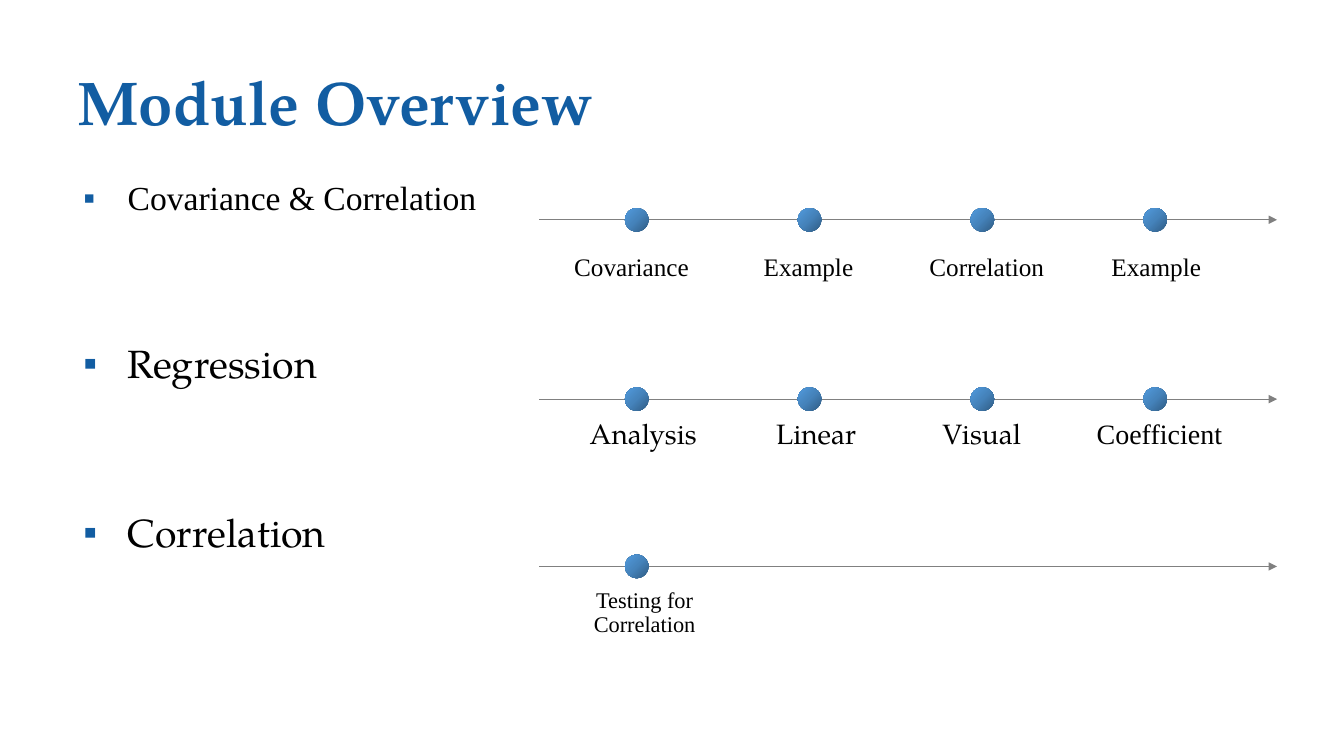
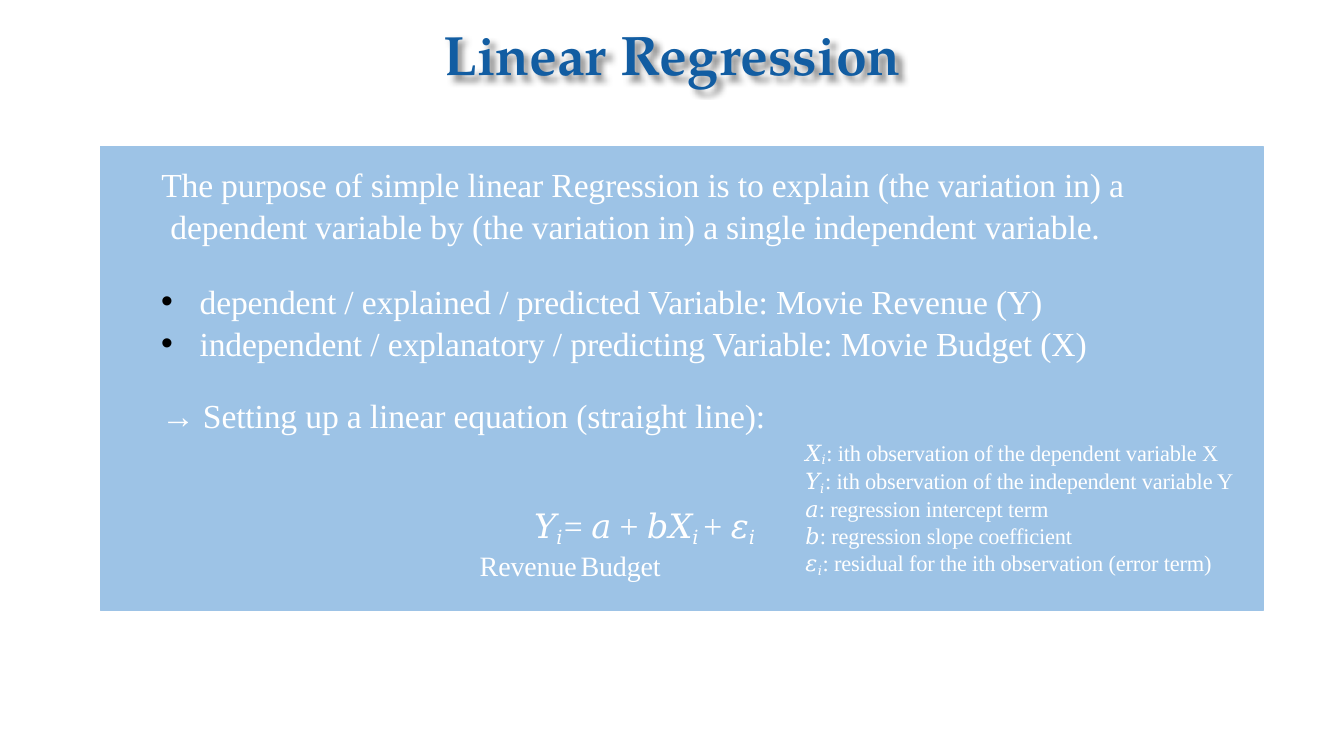
from dataclasses import dataclass
from typing import Optional, Sequence

from pptx import Presentation
from pptx.dml.color import RGBColor
from pptx.enum.shapes import MSO_CONNECTOR, MSO_SHAPE
from pptx.enum.text import MSO_ANCHOR, MSO_AUTO_SIZE, PP_ALIGN
from pptx.oxml import parse_xml
from pptx.oxml.ns import nsdecls
from pptx.util import Pt

COLORS = {
    "title": "125DA2", "ink": "000000", "white": "FFFFFF", "panel": "9DC3E6",
    "axis": "808080", "dot_dark": "305C84", "dot_mid": "4583BB", "dot_light": "529BDE",
}
SERIF = "Times New Roman"
PAGELLA = "TeX Gyre Pagella"
DOT_SIZE = 16.8
DOT_LEFT = 446.4
DOT_PITCH = 123.45
AXIS_LEFT, AXIS_RIGHT = 385.2, 912.2


@dataclass(frozen=True)
class Box:
    left: float
    top: float
    width: float
    height: float


@dataclass(frozen=True)
class Span:
    text: str
    spacing: float = 0
    baseline: int = 0


@dataclass(frozen=True)
class Style:
    size: float
    font: str = SERIF
    color: str = "ink"
    bold: bool = False
    align: PP_ALIGN = PP_ALIGN.LEFT
    line: float = 1.0
    before: float = 0
    margin: float = 0
    indent: float = 0
    bullet: str = ""
    bullet_color: str = "ink"
    tab: float = 0


@dataclass(frozen=True)
class Para:
    spans: Sequence[Span]
    style: Style


@dataclass(frozen=True)
class Stop:
    label: str
    left: float
    width: float
    style: Style


@dataclass(frozen=True)
class Timeline:
    axis_y: float
    label_top: float
    label_height: float
    stops: Sequence[Stop]


def rgb(name: str) -> RGBColor:
    return RGBColor.from_string(COLORS[name])


def xml(markup: str):
    tag, rest = markup.split(" ", 1)
    return parse_xml(f"{tag} {nsdecls('a')} {rest}")


def place(shape, box: Box) -> None:
    shape.left, shape.top = Pt(box.left), Pt(box.top)
    shape.width, shape.height = Pt(box.width), Pt(box.height)


def format_paragraph(paragraph, style: Style) -> None:
    paragraph.alignment = style.align
    paragraph.line_spacing = style.line
    paragraph.space_before = Pt(style.before)
    paragraph.space_after = Pt(0)
    props = paragraph._p.get_or_add_pPr()
    props.set("marL", str(Pt(style.margin)))
    props.set("indent", str(Pt(style.indent)))
    if style.bullet:
        props.append(xml(f'<a:buClr ><a:srgbClr val="{COLORS[style.bullet_color]}"/></a:buClr>'))
        props.append(xml('<a:buFont typeface="Arial"/>'))
        props.append(xml(f'<a:buChar char="{style.bullet}"/>'))
    else:
        props.append(xml("<a:buNone />"))
    if style.tab:
        props.append(xml(f'<a:tabLst ><a:tab pos="{Pt(style.tab)}" algn="l"/></a:tabLst>'))


def write(shape, paras: Sequence[Para], insets: tuple[float, float] = (0, 0),
          anchor: MSO_ANCHOR = MSO_ANCHOR.TOP,
          fit: MSO_AUTO_SIZE = MSO_AUTO_SIZE.NONE) -> None:
    frame = shape.text_frame
    frame.word_wrap = True
    frame.auto_size = fit
    frame.vertical_anchor = anchor
    frame.margin_left = frame.margin_right = Pt(insets[0])
    frame.margin_top = frame.margin_bottom = Pt(insets[1])
    for index, para in enumerate(paras):
        paragraph = frame.add_paragraph() if index else frame.paragraphs[0]
        format_paragraph(paragraph, para.style)
        for span in para.spans:
            run = paragraph.add_run()
            run.text = span.text
            run.font.size = Pt(para.style.size)
            run.font.name = para.style.font
            run.font.bold = para.style.bold
            run.font.color.rgb = rgb(para.style.color)
            props = run._r.get_or_add_rPr()
            if span.spacing:
                props.set("spc", str(round(span.spacing * 100)))
            if span.baseline:
                props.set("baseline", str(span.baseline * 1000))


def add_text(slide, box: Box, paras: Sequence[Para], **options) -> None:
    shape = slide.shapes.add_textbox(0, 0, 0, 0)
    place(shape, box)
    write(shape, paras, **options)


def set_title(slide, text: str, box: Box, size: float, align: PP_ALIGN):
    title = slide.shapes.title
    place(title, box)
    style = Style(size, PAGELLA, "title", True, align, 0.9)
    write(title, [Para([Span(text)], style)], (7.2, 3.6), MSO_ANCHOR.MIDDLE)
    return title


def add_shadow(shape) -> None:
    shape._element.spPr.append(xml(
        f'<a:effectLst ><a:outerShdw blurRad="{Pt(4)}" dist="{Pt(4)}" dir="2700000" algn="tl">'
        f'<a:srgbClr val="{COLORS["ink"]}"><a:alpha val="43000"/></a:srgbClr>'
        '</a:outerShdw></a:effectLst>'))


def add_axis(slide, y: float) -> None:
    axis = slide.shapes.add_connector(
        MSO_CONNECTOR.STRAIGHT, Pt(AXIS_LEFT), Pt(y), Pt(AXIS_RIGHT), Pt(y))
    axis.line.color.rgb = rgb("axis")
    axis.line.width = Pt(0.75)
    axis.line._get_or_add_ln().append(xml('<a:tailEnd type="triangle"/>'))
    axis._element.spPr.append(xml("<a:effectLst />"))


def add_dot(slide, left: float, axis_y: float) -> None:
    dot = slide.shapes.add_shape(
        MSO_SHAPE.OVAL, Pt(left), Pt(axis_y - DOT_SIZE / 2), Pt(DOT_SIZE), Pt(DOT_SIZE))
    dot.shadow.inherit = False
    dot.line.fill.background()
    stops = "".join(
        f'<a:gs pos="{position * 1000}"><a:srgbClr val="{COLORS[name]}"/></a:gs>'
        for position, name in ((0, "dot_dark"), (50, "dot_mid"), (100, "dot_light")))
    dot._element.spPr.prstGeom.addnext(xml(
        f'<a:gradFill rotWithShape="1"><a:gsLst>{stops}</a:gsLst>'
        '<a:lin ang="13500000" scaled="0"/></a:gradFill>'))


def add_timeline(slide, timeline: Timeline) -> None:
    add_axis(slide, timeline.axis_y)
    for column, stop in enumerate(timeline.stops):
        add_dot(slide, DOT_LEFT + column * DOT_PITCH, timeline.axis_y)
        box = Box(stop.left, timeline.label_top, stop.width, timeline.label_height)
        add_text(slide, box, [Para([Span(stop.label)], stop.style)],
                 anchor=MSO_ANCHOR.MIDDLE, fit=MSO_AUTO_SIZE.SHAPE_TO_FIT_TEXT)


def build_overview(slide) -> None:
    set_title(slide, "Module Overview", Box(48, 20.2, 864, 110.2), 44, PP_ALIGN.LEFT)
    body = slide.placeholders[1]
    place(body, Box(48, 126, 325.4, 360))
    topics = (("Covariance & Correlation", 24, SERIF, 10),
              ("Regression", 28, PAGELLA, 90.5),
              ("Correlation", 28, PAGELLA, 90.5))
    write(body, [
        Para([Span(text)], Style(size, font, line=0.9, before=before, margin=36,
                                 indent=-31.7, bullet="▪", bullet_color="title"))
        for text, size, font, before in topics], (7.2, 3.6))

    centred = Style(18, align=PP_ALIGN.CENTER, line=1.1)
    pagella = Style(20, PAGELLA, line=0.9, before=10, margin=4.3)
    serif = Style(20, line=0.9, before=10, margin=4.3)
    testing = Style(16, align=PP_ALIGN.CENTER, line=0.9, before=10, margin=4.3)
    for timeline in (
        Timeline(157, 177.1, 23.8, (
            Stop("Covariance", 391, 120.2, centred),
            Stop("Example", 517, 121, centred),
            Stop("Correlation", 648.7, 112.3, centred),
            Stop("Example", 765.4, 121, centred))),
        Timeline(285.1, 299.9, 22, (
            Stop("Analysis", 416.9, 82.8, pagella),
            Stop("Linear", 550.1, 82.8, pagella),
            Stop("Visual", 668.9, 82.8, pagella),
            Stop("Coefficient", 779, 94.3, serif))),
        Timeline(404.6, 420.5, 34.6, (
            Stop("Testing for Correlation", 409.7, 97.2, testing),)),
    ):
        add_timeline(slide, timeline)


def legend_row(symbol: str, meaning: str, symbol_spacing: float,
               index: Optional[Span] = None) -> Para:
    spans = [Span(symbol, symbol_spacing), *([index] if index else []),
             Span(f": {meaning}", -0.1)]
    return Para(spans, Style(16, color="white", margin=2.9))


def build_regression(slide) -> None:
    title = set_title(slide, "Linear Regression", Box(48, 20.9, 864, 40.3), 39.6,
                      PP_ALIGN.CENTER)
    add_shadow(title)

    panel = slide.shapes.add_shape(MSO_SHAPE.RECTANGLE, 0, 0, 0, 0)
    place(panel, Box(72, 104.4, 830.2, 331.9))
    panel.shadow.inherit = False
    panel.fill.solid()
    panel.fill.fore_color.rgb = rgb("panel")
    panel.line.color.rgb = rgb("panel")
    panel.line.width = Pt(0.75)

    body = slide.placeholders[1]
    place(body, Box(114.5, 115.2, 696.2, 193))
    slide.shapes._spTree.append(body._element)

    def statement(text: str, before: float, margin: float = 0.7,
                  indent: float = 0, bullet: str = "") -> Para:
        return Para([Span(text, -0.1)], Style(
            24, color="white", line=1.04, before=before, margin=margin,
            indent=indent, bullet=bullet))

    write(body, [
        statement("The purpose of simple linear Regression is to explain (the variation in) a "
                  "dependent variable by (the variation in) a single independent variable.",
                  1, 7.2, -6.5),
        statement("dependent / explained / predicted Variable: Movie Revenue (Y)",
                  23.5, 28.1, -27.4, "•"),
        statement("independent / explanatory / predicting Variable: Movie Budget (X)",
                  0, 28.1, -27.4, "•"),
        statement("→ Setting up a linear equation (straight line):", 21.6),
    ], (0, 0.7))

    add_text(slide, Box(572.4, 313.2, 320.4, 97.9), [
        legend_row("𝑋", "ith observation of the dependent variable X", 0.2,
                   Span("𝑖", 0.4, -14)),
        legend_row("𝑌", "ith observation of the independent variable Y", -1.1,
                   Span("𝑖 ", -1.7, -14)),
        legend_row("𝑎", "regression intercept term", 0.1),
        legend_row("𝑏", "regression slope coefficient", 0.1),
        legend_row("𝜀", "residual for the ith observation (error term)", 0.3,
                   Span("𝑖", 0.5, -17)),
    ], insets=(0, 0.7))

    equation = [Span("𝑌", -1.7), Span("𝑖 ", -2.5, -16), Span("= 𝑎 + 𝑏𝑋"),
                Span("𝑖 ", 0, -16), Span("+ 𝜀"), Span("𝑖", 0, -16)]
    add_text(slide, Box(339.8, 360, 218.9, 54), [
        Para(equation, Style(24, color="white", before=1, margin=41.8)),
        Para([Span("Revenue\tBudget", -0.1)],
             Style(20, color="white", before=0.2, margin=2.9, tab=123.8)),
    ], insets=(0, 0.7))


def main() -> None:
    deck = Presentation()
    deck.slide_width, deck.slide_height = Pt(960), Pt(540)
    for build in (build_overview, build_regression):
        build(deck.slides.add_slide(deck.slide_layouts[1]))
    deck.save("out.pptx")


main()
